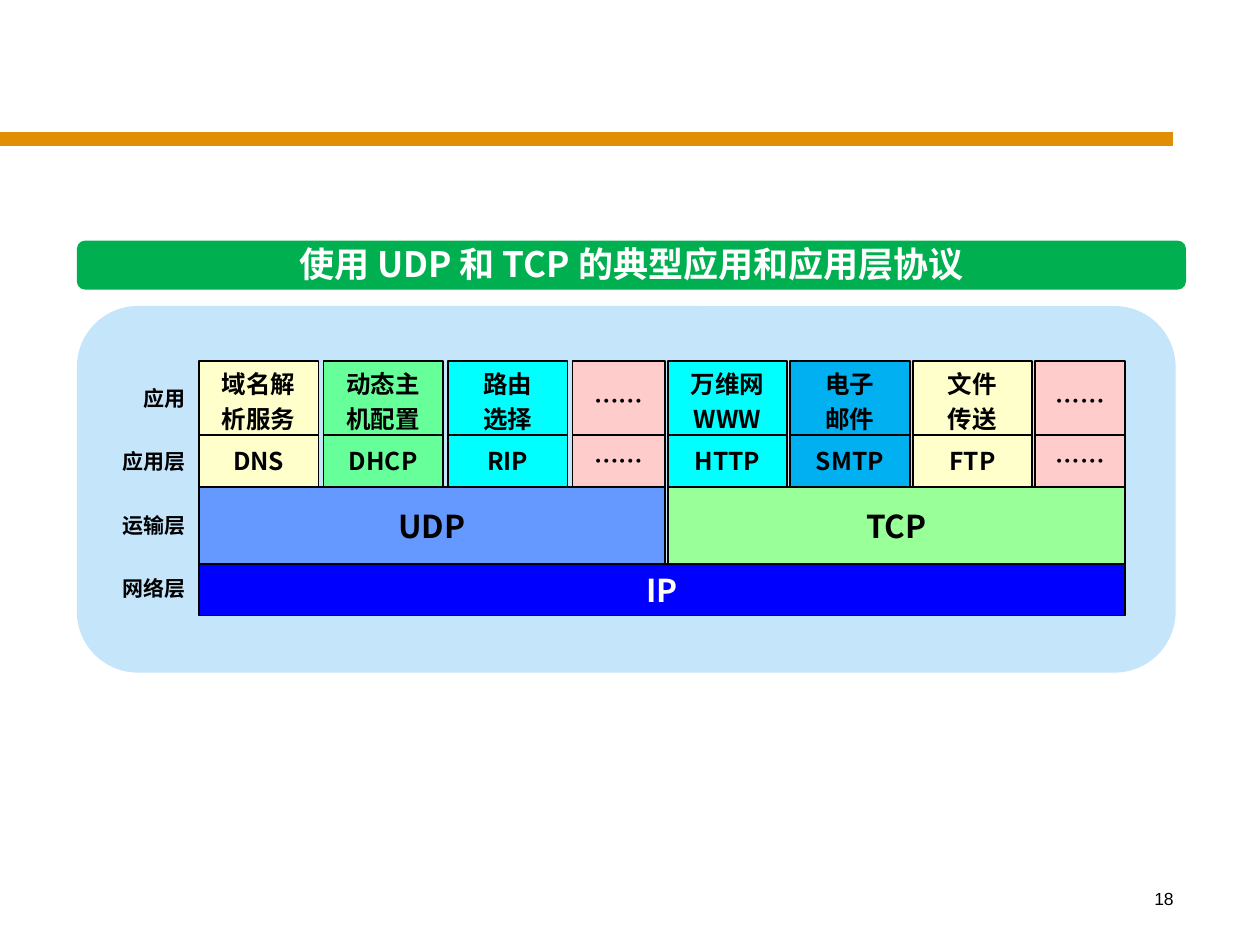
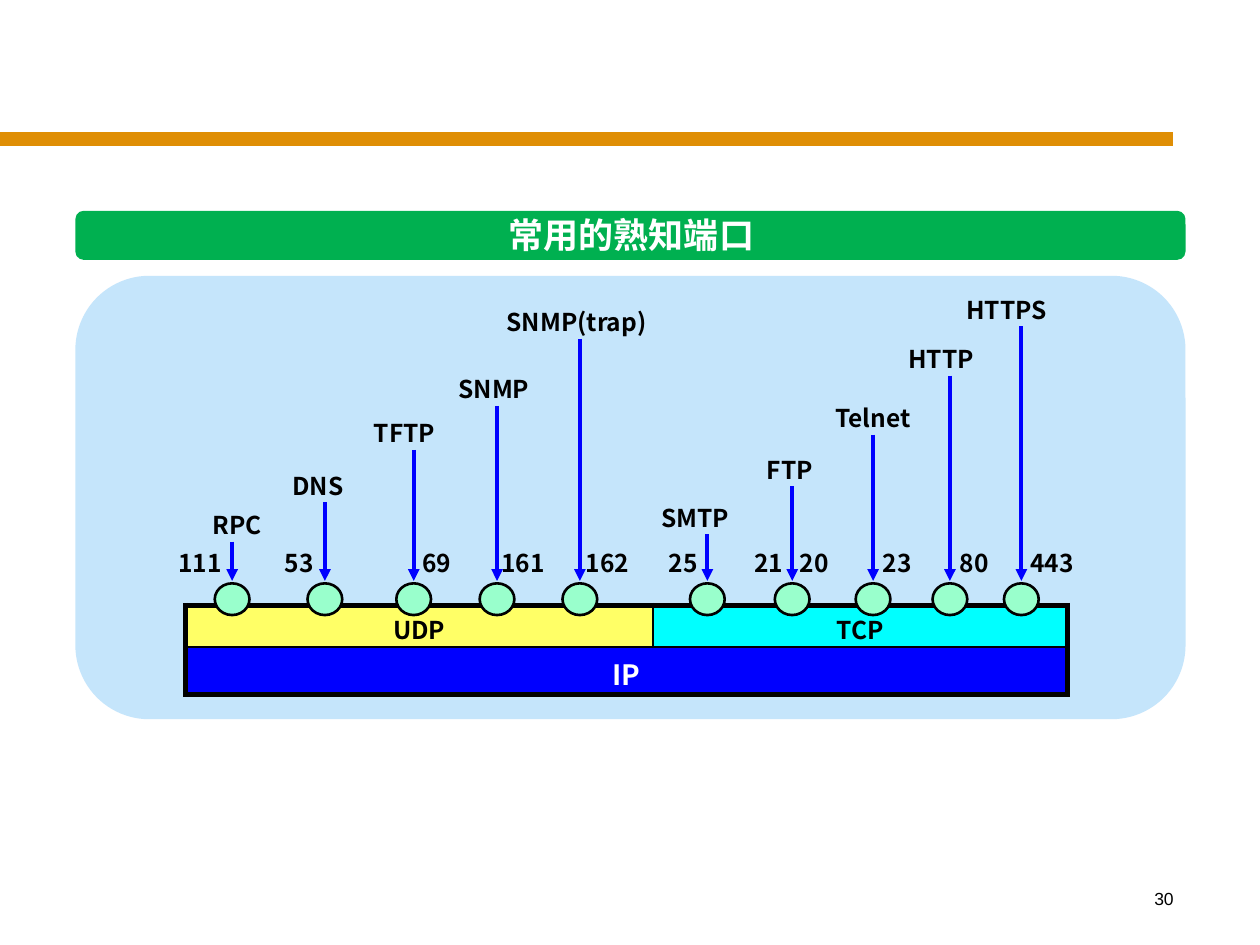
import lxml.etree
import pptx
import pptx.dml.color
import pptx.enum.shapes
import pptx.enum.text
import pptx.oxml.ns
import pptx.util

Cm = pptx.util.Cm
Pt = pptx.util.Pt
RGB = pptx.dml.color.RGBColor.from_string
qn = pptx.oxml.ns.qn
SHAPE = pptx.enum.shapes.MSO_SHAPE
ALIGN = pptx.enum.text.PP_ALIGN
ANCHOR = pptx.enum.text.MSO_ANCHOR
FIT = pptx.enum.text.MSO_AUTO_SIZE


class Theme:
    font = "Noto Sans CJK SC"
    number_font = "Arial"
    black, white = "000000", "FFFFFF"
    orange, green, panel = "DF8E05", "00B050", "C5E5FB"
    blue, cyan, sky = "0000FF", "00FFFF", "00B0F0"
    cream, mint, pink = "FFFFCC", "66FF99", "FFCCCC"
    udp, tcp = "6699FF", "99FF99"
    yellow, port = "FFFF66", "99FFCC"
    title, layer, ip, label, row, number = 20, 18, 16, 14, 12, 10


def add_box(s, kind, x, y, w, h, fill, line=0):
    sp = s.shapes.add_shape(kind, Cm(x), Cm(y), Cm(w), Cm(h))
    sp.shadow.inherit = False
    sp.fill.solid()
    sp.fill.fore_color.rgb = RGB(fill)
    if line:
        sp.line.color.rgb = RGB(Theme.black)
        sp.line.width = Pt(line)
    else:
        sp.line.fill.background()
    sp.text_frame.vertical_anchor = ANCHOR.MIDDLE
    return sp


def write(tf, text, size, color=Theme.black, align=ALIGN.CENTER,
          spacing=None, font=Theme.font, bold=True):
    for i, line in enumerate(text.split("\n")):
        p = tf.add_paragraph() if i else tf.paragraphs[0]
        p.alignment = align
        if spacing:
            p.line_spacing = Pt(spacing)
        r = p.add_run()
        r.text = line
        r.font.size = Pt(size)
        r.font.bold = bold
        r.font.color.rgb = RGB(color)
        r.font.name = font
        ea = lxml.etree.SubElement(r.font._element, qn("a:ea"))
        ea.set("typeface", Theme.font)


prs = pptx.Presentation()
prs.slide_width, prs.slide_height = Cm(25.4), Cm(19.05)

frames = [
    ("使用 UDP 和 TCP 的典型应用和应用层协议", "18", 4.77,
     (1.55, 4.85, 22.36, 0.99), (1.55, 6.17, 22.15, 7.39)),
    ("常用的熟知端口", "30", 4.17,
     (1.52, 4.25, 22.38, 0.99), (1.52, 5.56, 22.38, 8.94)),
]
slides = []
for title, number, title_y, bar, panel in frames:
    s = prs.slides.add_slide(prs.slide_layouts[6])
    slides.append(s)
    rule = s.shapes.add_connector(
        pptx.enum.shapes.MSO_CONNECTOR.STRAIGHT, 0, Cm(2.8), Cm(23.65), Cm(2.8))
    rule.line.color.rgb = RGB(Theme.orange)
    rule.line.width = Pt(8)
    lxml.etree.SubElement(rule._element.spPr, qn("a:effectLst"))
    tf = s.shapes.add_textbox(Cm(18.63), Cm(17.78), Cm(5.28), Cm(1.27)).text_frame
    tf.word_wrap = True
    write(tf, number, Theme.number, align=ALIGN.RIGHT,
          font=Theme.number_font, bold=False)
    sp = add_box(s, SHAPE.ROUNDED_RECTANGLE, *bar, Theme.green)
    sp.adjustments[0] = 0.17
    tf = s.shapes.add_textbox(Cm(3.73), Cm(title_y), Cm(18), Cm(1.12)).text_frame
    tf.word_wrap = True
    tf.auto_size = FIT.SHAPE_TO_FIT_TEXT
    write(tf, title, Theme.title, Theme.white)
    add_box(s, SHAPE.ROUNDED_RECTANGLE, *panel, Theme.panel)

s = slides[0]
app_y, protocol_y, transport_y, ip_y = 7.28, 8.77, 9.82, 11.37
sp = add_box(s, SHAPE.RECTANGLE, 4.01, ip_y, 18.67, 1.04, Theme.blue, 1)
write(sp.text_frame, "IP", Theme.layer, Theme.white)

stacks = [
    ("TCP", Theme.tcp, 13.46, 9.22, 2.47, [
        ("万维网\nWWW", "HTTP", Theme.cyan),
        ("电子\n邮件", "SMTP", Theme.sky),
        ("文件\n传送", "FTP", Theme.cream),
        ("……", "……", Theme.pink)]),
    ("UDP", Theme.udp, 4.01, 9.4, 2.51, [
        ("域名解析服务", "DNS", Theme.cream),
        ("动态主机配置", "DHCP", Theme.mint),
        ("路由\n选择", "RIP", Theme.cyan),
        ("……", "……", Theme.pink)]),
]
for transport, color, left, width, step, apps in stacks:
    sp = add_box(s, SHAPE.RECTANGLE, left, transport_y, width, 1.55, color, 1)
    write(sp.text_frame, transport, Theme.layer)
    for i, (app, protocol, fill) in enumerate(apps):
        w = min(2.41, width - i * step)
        x = left + i * step
        sp = add_box(s, SHAPE.RECTANGLE, x, protocol_y, w, 1.05, fill, 1)
        write(sp.text_frame, protocol, Theme.label)
        sp = add_box(s, SHAPE.RECTANGLE, x, app_y, w, 1.49, fill, 1)
        write(sp.text_frame, app, Theme.label, spacing=20)

for i, layer in enumerate(["应用", "应用层", "运输层", "网络层"]):
    tf = s.shapes.add_textbox(
        Cm(1.75), Cm(7.64 + i * 1.28), Cm(2.24), Cm(0.76)).text_frame
    tf.word_wrap = True
    tf.auto_size = FIT.SHAPE_TO_FIT_TEXT
    write(tf, layer, Theme.row, align=ALIGN.RIGHT)

s = slides[1]
table = s.shapes.add_table(2, 2, Cm(3.74), Cm(12.2), Cm(17.78), Cm(1.8)).table
table.first_row = table.horz_banding = False
for i, w in enumerate([9.42, 8.36]):
    table.columns[i].width = Cm(w)
for i, h in enumerate([0.84, 0.96]):
    table.rows[i].height = Cm(h)
table.cell(1, 0).merge(table.cell(1, 1))
cells = [
    (0, 0, "UDP", Theme.label, Theme.black, Theme.yellow),
    (0, 1, "TCP", Theme.label, Theme.black, Theme.cyan),
    (1, 0, "IP", Theme.ip, Theme.white, Theme.blue),
    (1, 1, "", Theme.ip, Theme.white, Theme.blue),
]
for row, col, text, size, color, fill in cells:
    cell = table.cell(row, col)
    cell.margin_top, cell.margin_bottom = Cm(0.1), 0
    cell.vertical_anchor = ANCHOR.MIDDLE
    if text:
        write(cell.text_frame, text, size, color)
    tcPr = cell._tc.get_or_add_tcPr()
    outer = {"L": col == 0, "R": col == 1 or row == 1, "T": row == 0, "B": row == 1}
    for side, is_outer in outer.items():
        ln = lxml.etree.SubElement(tcPr, qn("a:ln" + side), w=str(Pt(3 if is_outer else 1.5)))
        solid = lxml.etree.SubElement(ln, qn("a:solidFill"))
        lxml.etree.SubElement(solid, qn("a:srgbClr"), val=Theme.black)
    cell.fill.solid()
    cell.fill.fore_color.rgb = RGB(fill)

services = [
    ("RPC", 4.04, 10.16, 4.68, [("111", 3.35)]),
    ("DNS", 5.64, 9.37, 6.55, [("53", 5.49)]),
    ("TFTP", 7.29, 8.31, 8.34, [("69", 8.26)]),
    ("SNMP", 8.99, 7.42, 10.02, [("161", 9.86)]),
    ("SNMP(trap)", 9.96, 6.07, 11.69, [("162", 11.56)]),
    ("SMTP", 13.08, 10.01, 14.26, [("25", 13.23)]),
    ("FTP", 15.21, 9.04, 15.97, [("21", 14.96), ("20", 15.87)]),
    ("Telnet", 16.59, 8, 17.6, [("23", 17.55)]),
    ("HTTP", 18.06, 6.81, 19.15, [("80", 19.1)]),
    ("HTTPS", 19.23, 5.82, 20.59, [("443", 20.52)]),
]
for name, name_x, name_y, x, ports in services:
    labels = [(name, name_x, name_y, 4.42)]
    labels += [(port, port_x, 10.92, 1.8) for port, port_x in ports]
    for text, left, top, w in labels:
        tf = s.shapes.add_textbox(Cm(left), Cm(top), Cm(w), Cm(0.86)).text_frame
        tf.word_wrap = True
        tf.auto_size = FIT.SHAPE_TO_FIT_TEXT
        write(tf, text, Theme.label, align=ALIGN.LEFT)
    add_box(s, SHAPE.OVAL, x - 0.35, 11.76, 0.7, 0.64, Theme.port, 1.5)
    arrow = s.shapes.add_connector(
        pptx.enum.shapes.MSO_CONNECTOR.STRAIGHT,
        Cm(x), Cm(name_y + 0.76), Cm(x), Cm(11.71))
    arrow.line.color.rgb = RGB(Theme.blue)
    arrow.line.width = Pt(2.25)
    lxml.etree.SubElement(arrow.line._get_or_add_ln(), qn("a:tailEnd"), type="triangle")
    lxml.etree.SubElement(arrow._element.spPr, qn("a:effectLst"))

prs.save("out.pptx")
